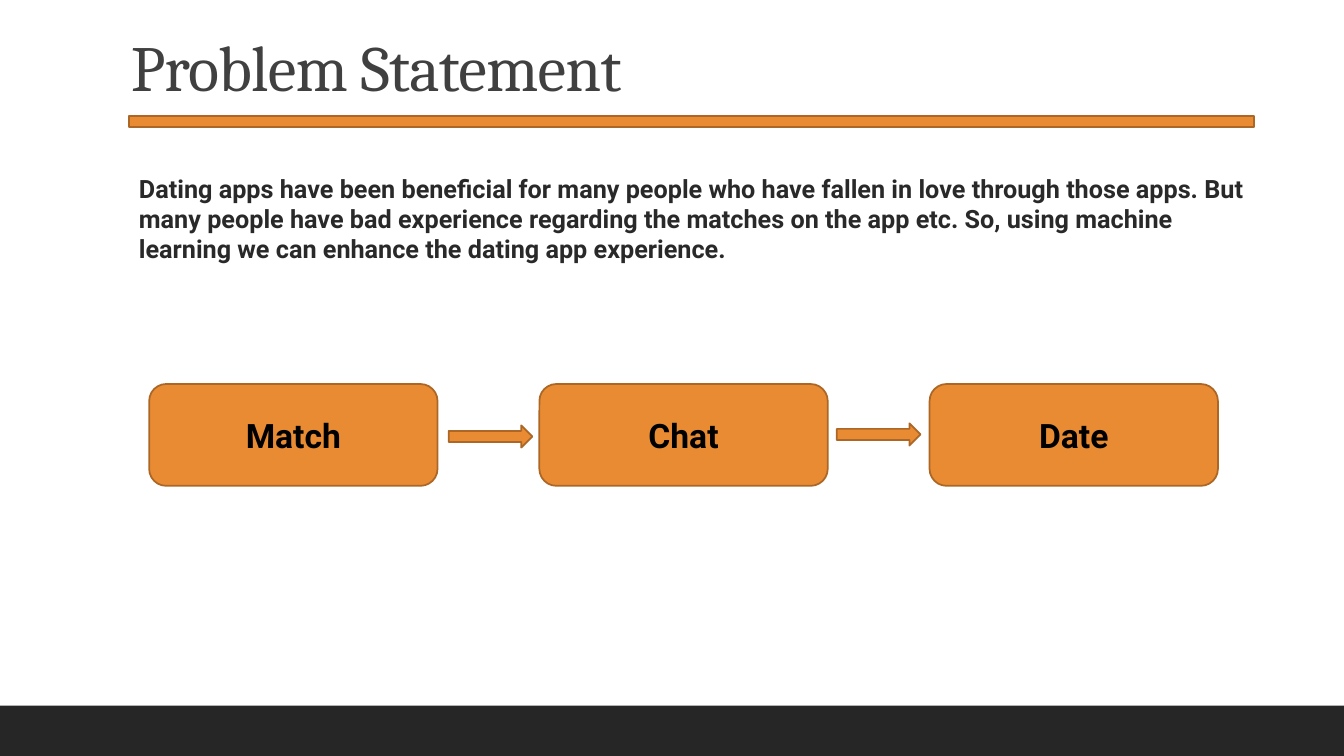
from pptx import Presentation
from pptx.dml.color import RGBColor
from pptx.enum.shapes import MSO_SHAPE as Shape
from pptx.enum.text import MSO_ANCHOR as Anchor, PP_ALIGN as Align
from pptx.util import Pt

PX = 9144
HUES = {
    "bar": "262626",
    "title": "404040",
    "body": "292929",
    "label": "000000",
    "fill": "E88B33",
    "edge": "AC6726",
}
STEPS = ["Match", "Chat", "Date"]
BODY = (
    "Dating apps have been beneficial for many people who have fallen in love "
    "through those apps. But many people have bad experience regarding the "
    "matches on the app etc. So, using machine learning we can enhance the "
    "dating app experience."
)


def hue(name):
    return RGBColor.from_string(HUES[name])


def add_block(slide, kind, box, fill="fill", edge="edge"):
    block = slide.shapes.add_shape(kind, *(n * PX for n in box))
    block.shadow.inherit = False
    block.fill.solid()
    block.fill.fore_color.rgb = hue(fill)
    if edge:
        block.line.color.rgb = hue(edge)
        block.line.width = Pt(1.25)
    else:
        block.line.fill.background()
    return block


def set_text(shape, text, font, size, color, bold=False):
    frame = shape.text_frame
    frame.word_wrap = True
    para = frame.paragraphs[0]
    para.text = text
    para.font.name = font
    para.font.size = Pt(size)
    para.font.bold = bold
    para.font.color.rgb = hue(color)
    return para


def add_text(slide, box, *style):
    area = slide.shapes.add_textbox(*(n * PX for n in box))
    return set_text(area, *style)


def add_step(slide, left, text):
    step = add_block(slide, Shape.ROUNDED_RECTANGLE, (left, 381, 286, 101))
    para = set_text(step, text, "Roboto", 24, "label", True)
    para.alignment = Align.CENTER
    step.text_frame.vertical_anchor = Anchor.MIDDLE


def main():
    deck = Presentation()
    deck.slide_width = 1333 * PX
    deck.slide_height = 750 * PX
    slide = deck.slides.add_slide(deck.slide_layouts[6])

    add_block(slide, Shape.RECTANGLE, (0, 700, 1333, 50), "bar", None)
    title = add_text(slide, (120, 31, 1100, 105),
                     "Problem Statement", "Cambria", 46, "title")
    title.line_spacing = 0.9
    title.runs[0].font._element.set("spc", "-50")
    add_block(slide, Shape.RECTANGLE, (128, 115, 1116, 11))
    add_text(slide, (128, 167, 1116, 101), BODY, "Roboto", 18, "body", True)

    for i, text in enumerate(STEPS):
        add_step(slide, 148 + 387 * i, text)
    for left, top in [(445, 422), (830, 420)]:
        add_block(slide, Shape.RIGHT_ARROW, (left, top, 83, 22))

    deck.save("out.pptx")


if __name__ == "__main__":
    main()
